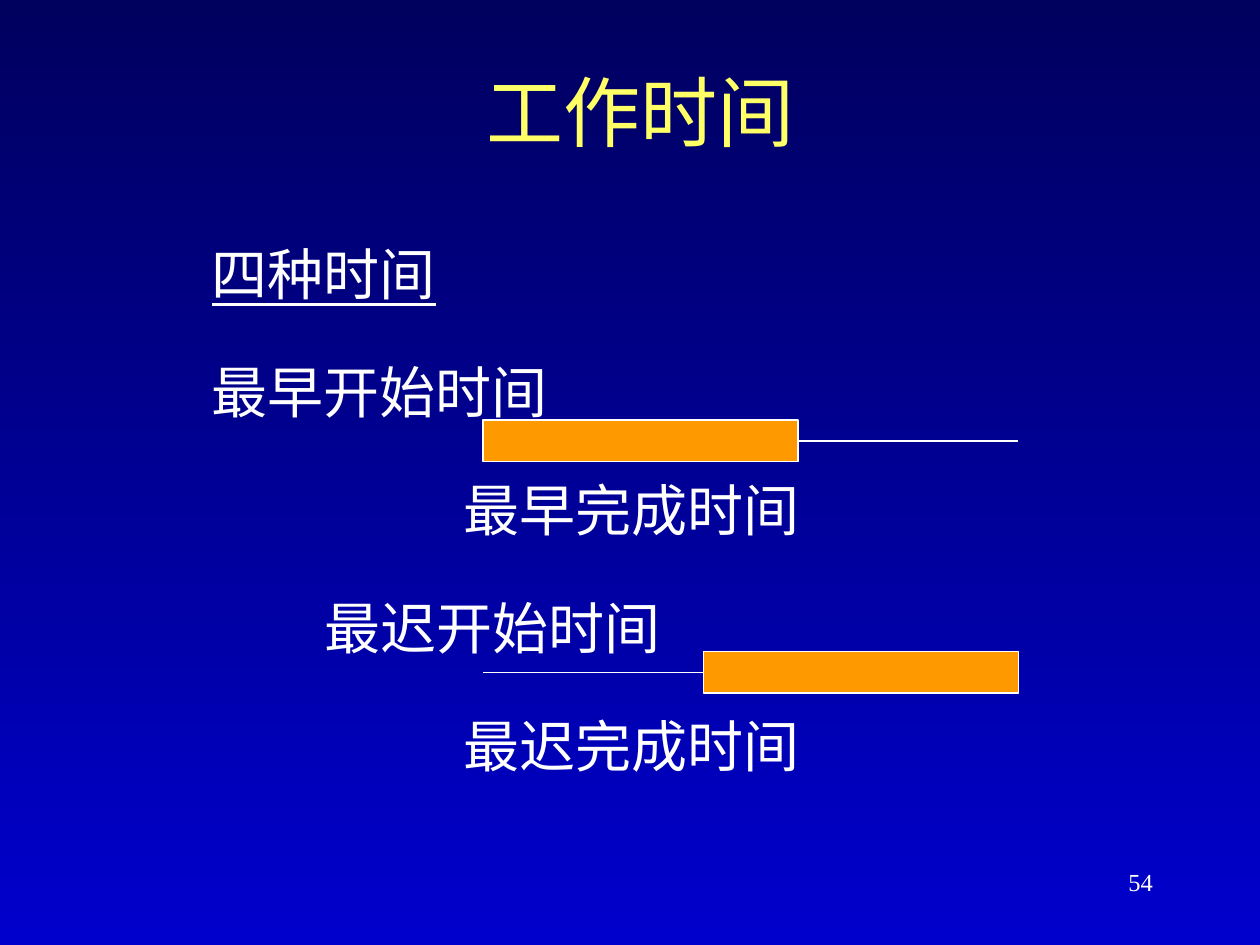
from dataclasses import dataclass

from lxml.etree import SubElement
from pptx import Presentation
from pptx.dml.color import RGBColor as Rgb
from pptx.enum.shapes import MSO_CONNECTOR as Link, MSO_SHAPE as Preset
from pptx.enum.text import MSO_ANCHOR as Anchor, PP_ALIGN as Align
from pptx.oxml.ns import qn
from pptx.util import Cm, Pt


@dataclass(frozen=True)
class Theme:
    sky: Rgb = Rgb.from_string("00005E")
    ground: Rgb = Rgb.from_string("0000CC")
    heading: Rgb = Rgb.from_string("FFFF66")
    ink: Rgb = Rgb.from_string("FFFFFF")
    bar: Rgb = Rgb.from_string("FF9900")
    latin: str = "Times New Roman"
    chinese: str = "Noto Sans CJK SC"
    title_size: Pt = Pt(44)
    body_size: Pt = Pt(32)
    number_size: Pt = Pt(14)
    stroke: Pt = Pt(0.75)


class SlideBuilder:
    def __init__(self, slide, theme):
        self.slide = slide
        self.theme = theme

    def background(self):
        fill = self.slide.background.fill
        fill.gradient()
        fill.gradient_angle = 270
        for stop, color in zip(fill.gradient_stops, (self.theme.sky, self.theme.ground)):
            stop.color.rgb = color

    def text(self, lines, left, top, width, height, size, color, latin,
             align=Align.LEFT, anchor=Anchor.TOP):
        """Add a text box with one paragraph per line and return its paragraphs."""
        box = self.slide.shapes.add_textbox(Cm(left), Cm(top), Cm(width), Cm(height))
        frame = box.text_frame
        frame.word_wrap = True
        frame.vertical_anchor = anchor
        frame.text = "\n".join(lines)
        for paragraph in frame.paragraphs:
            paragraph.alignment = align
            font = paragraph.runs[0].font
            font.size = size
            font.name = latin
            font.color.rgb = color
            east_asian = SubElement(font._element, qn("a:ea"))
            east_asian.set("typeface", self.theme.chinese)
        return frame.paragraphs

    def line(self, left, right, y):
        connector = self.slide.shapes.add_connector(
            Link.STRAIGHT, Cm(left), Cm(y), Cm(right), Cm(y))
        connector.line.color.rgb = self.theme.ink
        connector.line.width = self.theme.stroke
        SubElement(connector._element.spPr, qn("a:effectLst"))
        return connector

    def bar(self, left, middle, width, height):
        bar = self.slide.shapes.add_shape(
            Preset.RECTANGLE, Cm(left), Cm(middle - height / 2), Cm(width), Cm(height))
        bar.shadow.inherit = False
        bar.fill.solid()
        bar.fill.fore_color.rgb = self.theme.bar
        bar.line.color.rgb = self.theme.ink
        bar.line.width = self.theme.stroke
        return bar


def main():
    presentation = Presentation()
    presentation.slide_width, presentation.slide_height = Cm(25.4), Cm(19.05)
    theme = Theme()
    builder = SlideBuilder(
        presentation.slides.add_slide(presentation.slide_layouts[6]), theme)
    builder.background()

    builder.text(["工作时间"], 2.12, 0.64, 21.59, 3.18, theme.title_size,
                 theme.heading, theme.latin, Align.CENTER, Anchor.MIDDLE)

    # Each time with its indent in cm
    times = [("四种时间", 0), ("最早开始时间", 0), ("最早完成时间", 5.08),
             ("最迟开始时间", 2.28), ("最迟完成时间", 5.08)]
    paragraphs = builder.text([name for name, _ in times], 4.02, 4.23, 19.05, 9.74,
                              theme.body_size, theme.ink, theme.chinese)
    for paragraph, (_, indent) in zip(paragraphs, times):
        paragraph.line_spacing = Pt(59.4)
        paragraph.space_before = Pt(8)
        paragraph._p.get_or_add_pPr().set("marL", str(Cm(indent)))
    subtitle = paragraphs[0]
    subtitle.line_spacing = Pt(52)
    subtitle.space_before = Pt(0)
    subtitle.runs[0].font.underline = True

    start, finish = 9.74, 20.53
    duration, bar_height = 6.35, 0.84
    earliest_y, latest_y = 8.89, 13.55

    earliest_span = builder.line(start, finish, earliest_y)
    earliest_bar = builder.bar(start, earliest_y, duration, bar_height)
    earliest_span.begin_connect(earliest_bar, 1)

    latest_span = builder.line(start, finish, latest_y)
    latest_bar = builder.bar(finish - duration, latest_y, duration, bar_height)
    latest_span.end_connect(latest_bar, 3)

    builder.text(["54"], 18.2, 17.36, 5.29, 1.27, theme.number_size,
                 theme.ink, theme.latin, Align.RIGHT)

    presentation.save("out.pptx")


if __name__ == "__main__":
    main()
